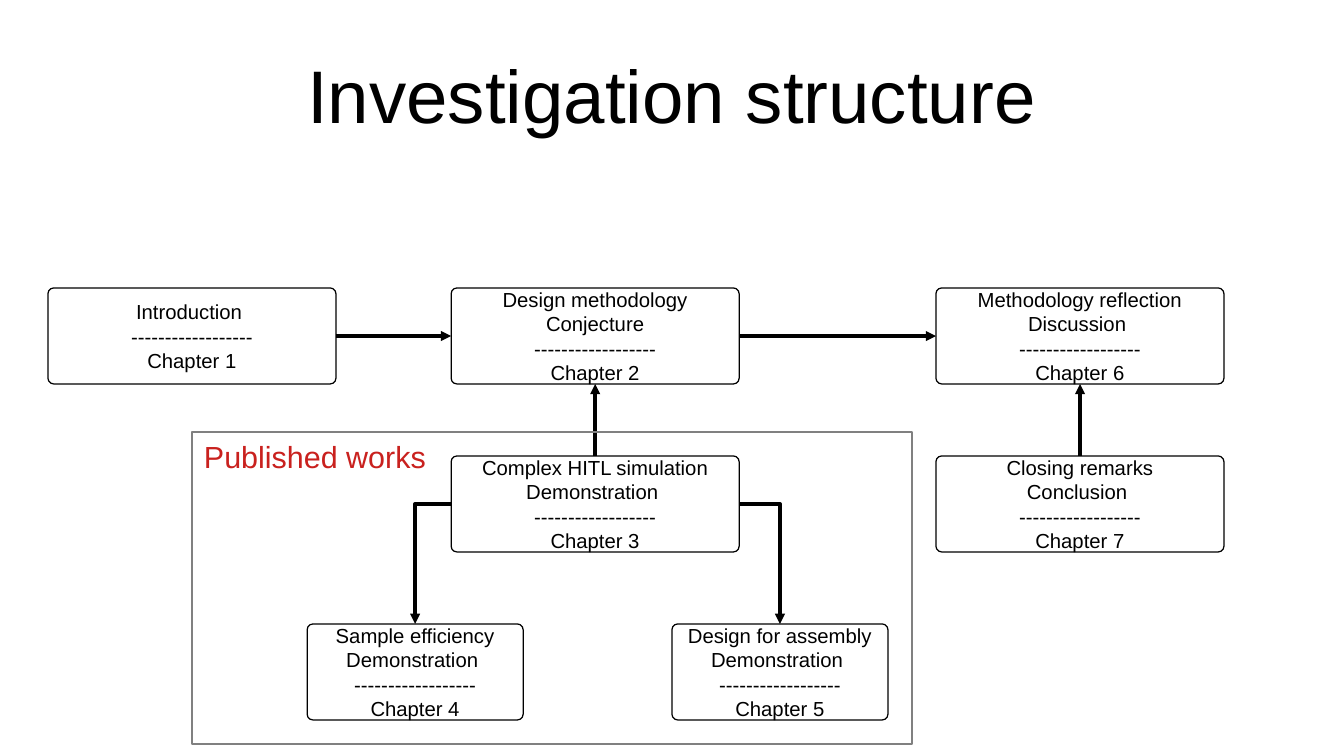
from lxml.etree import SubElement as Sub
from pptx import Presentation
from pptx.dml.color import RGBColor
from pptx.enum.shapes import MSO_CONNECTOR as Link, MSO_SHAPE as Kind
from pptx.enum.text import MSO_ANCHOR as Anchor, MSO_AUTO_SIZE as Fit, PP_ALIGN as Align
from pptx.oxml.ns import qn
from pptx.util import Cm, Pt

# Connection sites of a box
TOP, LEFT, BOTTOM, RIGHT = range(4)
DASHES = "------------------"


def hue(code):
    return RGBColor.from_string(code)


def apply(item, form):
    for name, value in form.items():
        setattr(item, name, value)


class Board:
    font, ink, paper = "Arial", "000000", "FFFFFF"

    def __init__(self, deck):
        self.slide = deck.slides.add_slide(deck.slide_layouts[5])

    def label(self, frame, lines, size, color, align, form):
        apply(frame, {"word_wrap": True, "auto_size": Fit.NONE, **form})
        frame.text = "\n".join(lines)
        for para in frame.paragraphs:
            para.alignment = align
            for run in para.runs:
                apply(run.font, {"name": self.font, "size": Pt(size)})
                run.font.color.rgb = hue(color)

    def stroke(self, line, color):
        line.color.rgb = hue(color)
        line.width = Pt(0)

    def title(self, text, place):
        head = self.slide.shapes.title
        apply(head, dict(zip(("left", "top", "width", "height"), map(Cm, place))))
        sides = ("margin_left", "margin_top", "margin_right", "margin_bottom")
        form = {"vertical_anchor": Anchor.MIDDLE, **dict.fromkeys(sides, 0)}
        self.label(head.text_frame, [text], 44, self.ink, Align.CENTER, form)

    def shape(self, kind, place, edge):
        item = self.slide.shapes.add_shape(kind, *map(Cm, place))
        item.shadow.inherit = False
        self.stroke(item.line, edge)
        return item

    def box(self, left, top, width, *lines):
        item = self.shape(Kind.ROUNDED_RECTANGLE, (left, top, width, 2), self.ink)
        item.adjustments[0] = 0.06
        item.fill.solid()
        item.fill.fore_color.rgb = hue(self.paper)
        self.label(item.text_frame, lines, 12, self.ink, Align.CENTER,
                   {"vertical_anchor": Anchor.MIDDLE})
        return item

    def group(self, text, place):
        item = self.shape(Kind.RECTANGLE, place, "808080")
        item.fill.background()
        self.label(item.text_frame, [text], 18, "C9211E", Align.LEFT,
                   {"vertical_anchor": Anchor.TOP})

    def arrow(self, start, out, end, into, bent=False):
        kind = Link.ELBOW if bent else Link.STRAIGHT
        link = self.slide.shapes.add_connector(kind, 0, 0, 0, 0)
        link.begin_connect(start, out)
        link.end_connect(end, into)
        self.stroke(link.line, self.ink)
        props = link._element.spPr
        if bent:
            props.find(qn("a:prstGeom")).set("prst", "bentConnector2")
        Sub(props.find(qn("a:ln")), qn("a:tailEnd"), type="triangle")
        Sub(props, qn("a:effectLst"))


def main():
    deck = Presentation()
    apply(deck, {"slide_width": Cm(28), "slide_height": Cm(15.75)})
    board = Board(deck)
    board.title("Investigation structure", (1.4, 0.63, 25.2, 2.63))

    # Chapter boxes: left, top, width, heading lines
    rows = (6, 9.5, 13)
    cols = (1, 9.4, 19.5)
    chapters = [
        (cols[0], rows[0], 6, "Introduction "),
        (cols[1], rows[0], 6, "Design methodology", "Conjecture"),
        (cols[1], rows[1], 6, "Complex HITL simulation Demonstration "),
        (6.4, rows[2], 4.5, "Sample efficiency Demonstration "),
        (14, rows[2], 4.5, "Design for assembly Demonstration "),
        (cols[2], rows[0], 6, "Methodology reflection Discussion "),
        (cols[2], rows[1], 6, "Closing remarks", "Conclusion "),
    ]
    intro, method, model, sample, design, review, close = [
        board.box(*chapter, DASHES, f"Chapter {number}")
        for number, chapter in enumerate(chapters, 1)
    ]

    # Arrows between the chapters
    board.arrow(model, LEFT, sample, TOP, bent=True)
    board.arrow(model, RIGHT, design, TOP, bent=True)
    board.arrow(model, TOP, method, BOTTOM)
    board.arrow(intro, RIGHT, method, LEFT)
    board.arrow(method, RIGHT, review, LEFT)
    board.arrow(close, TOP, review, BOTTOM)

    # Frame around the published chapters
    board.group("Published works", (4, 9, 15, 6.5))
    deck.save("out.pptx")


if __name__ == "__main__":
    main()
